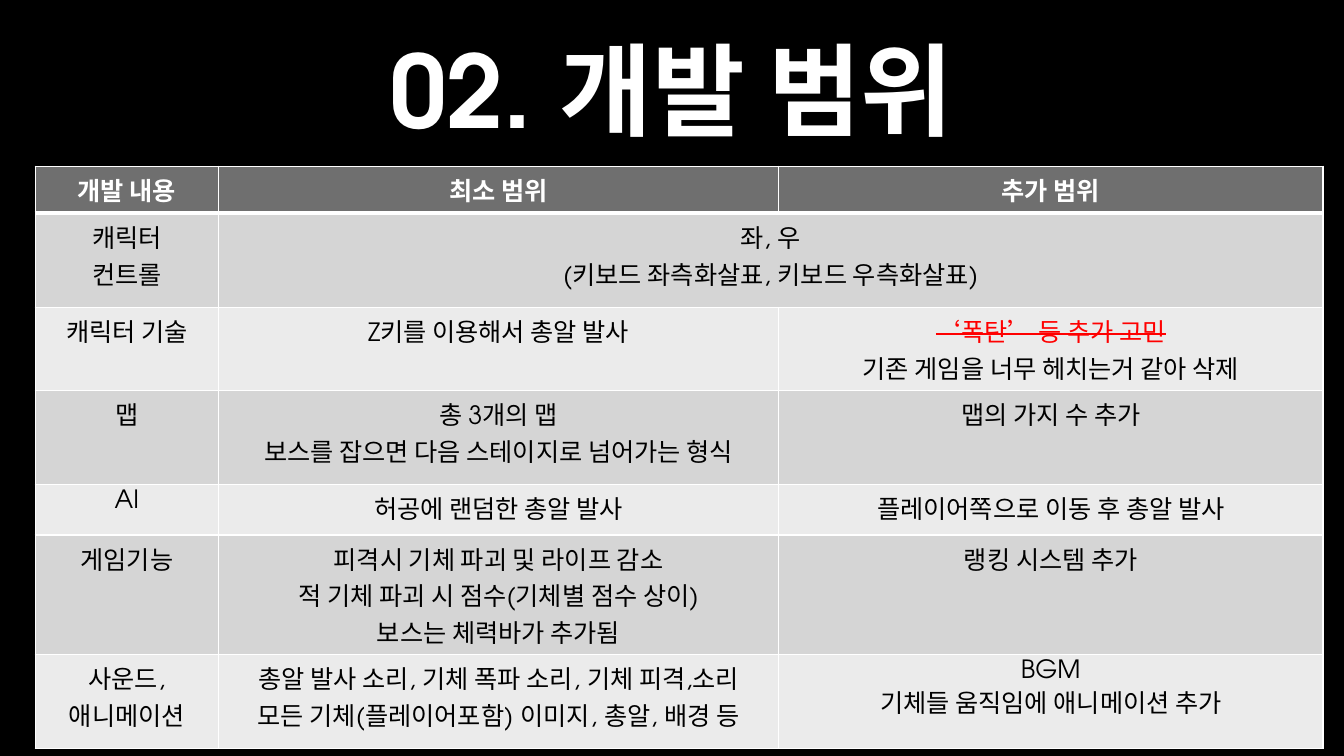
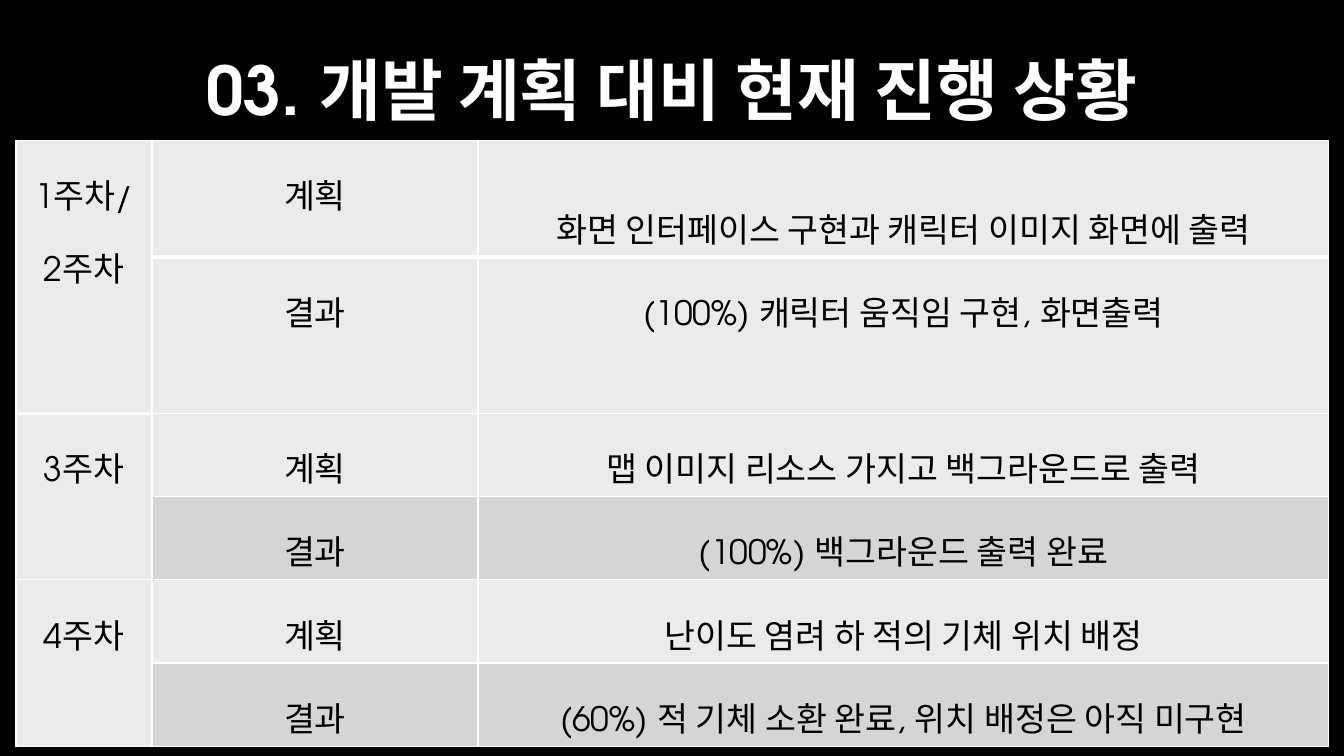
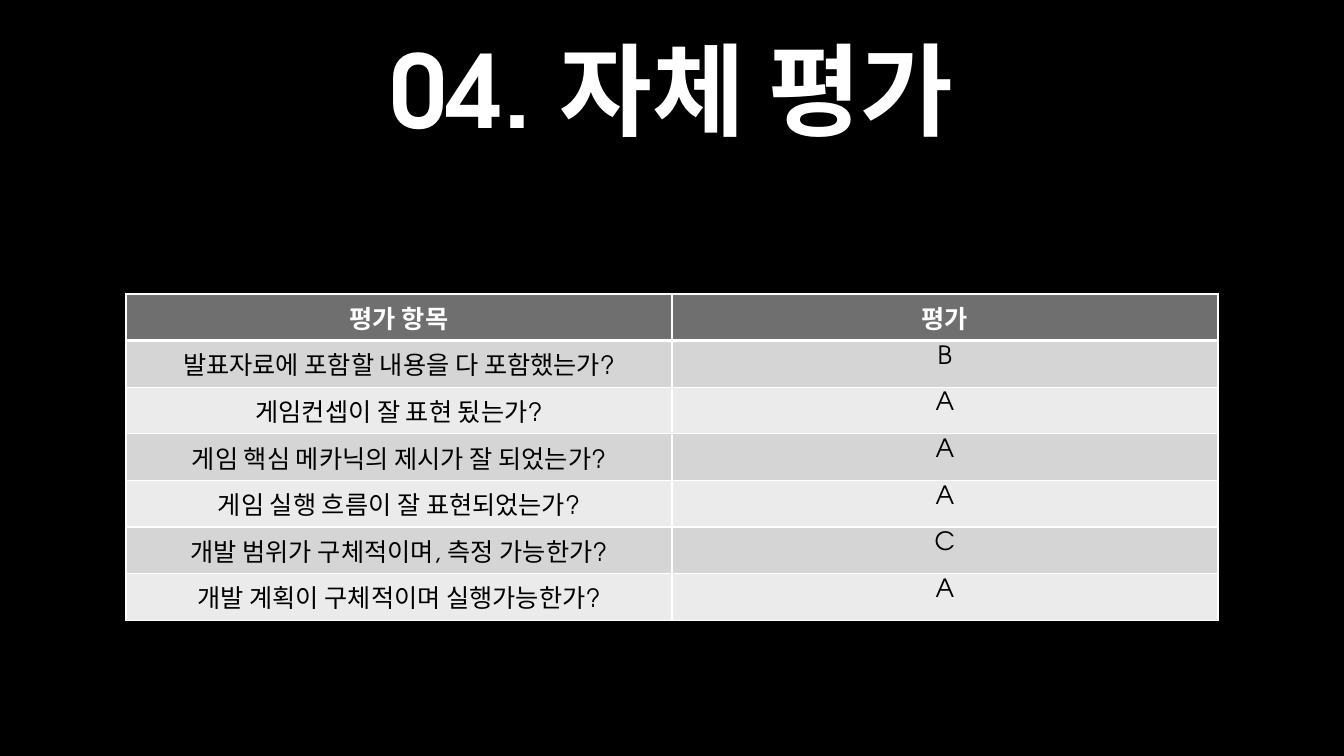
"""Build three slides of a game project report, each a title over a table."""
import pptx
import pptx.util
import pptx.dml.color
import pptx.enum.text
import pptx.oxml.ns
import lxml.etree

HUES = {
    "back": "000000", "ink": "000000", "white": "FFFFFF", "gray": "A6A6A6",
    "head": "6F6F6F", "dark": "D5D5D5", "light": "EBEBEB", "red": "FF0000",
}
FONT = "TeX Gyre Adventor"
COLS, ROWS = 160, 90
WIDE, HIGH = pptx.util.Inches(13.33), pptx.util.Inches(7.5)
MID = pptx.enum.text.PP_ALIGN.CENTER

SCOPE = [
    ["개발 내용", "최소 범위", "추가 범위"],
    ["캐릭터\n컨트롤", "좌, 우\n(키보드 좌측화살표, 키보드 우측화살표)", None],
    ["캐릭터 기술", "Z키를 이용해서 총알 발사",
     "‘폭탄’ 등 추가 고민\n기존 게임을 너무 헤치는거 같아 삭제"],
    ["맵", "총 3개의 맵\n보스를 잡으면 다음 스테이지로 넘어가는 형식", "맵의 가지 수 추가"],
    ["AI", "허공에 랜덤한 총알 발사", "플레이어쪽으로 이동 후 총알 발사"],
    ["게임기능",
     "피격시 기체 파괴 및 라이프 감소\n적 기체 파괴 시 점수(기체별 점수 상이)\n보스는 체력바가 추가됨",
     "랭킹 시스템 추가"],
    ["사운드,\n애니메이션",
     "총알 발사 소리, 기체 폭파 소리, 기체 피격,소리\n모든 기체(플레이어포함) 이미지, 총알, 배경 등",
     "BGM\n기체들 움직임에 애니메이션 추가"],
]
PLAN = [
    ["1주차/\n2주차", "계획", "화면 인터페이스 구현과 캐릭터 이미지 화면에 출력"],
    [None, "결과", "(100%) 캐릭터 움직임 구현, 화면출력"],
    ["3주차", "계획", "맵 이미지 리소스 가지고 백그라운드로 출력"],
    [None, "결과", "(100%) 백그라운드 출력 완료"],
    ["4주차", "계획", "난이도 염려 하 적의 기체 위치 배정"],
    [None, "결과", "(60%) 적 기체 소환 완료, 위치 배정은 아직 미구현"],
]
MARKS = [
    ["평가 항목", "평가"],
    ["발표자료에 포함할 내용을 다 포함했는가?", "B"],
    ["게임컨셉이 잘 표현 됬는가?", "A"],
    ["게임 핵심 메카닉의 제시가 잘 되었는가?", "A"],
    ["게임 실행 흐름이 잘 표현되었는가?", "A"],
    ["개발 범위가 구체적이며, 측정 가능한가?", "C"],
    ["개발 계획이 구체적이며 실행가능한가?", "A"],
]


def across(n):
    return round(WIDE * n / COLS)


def down(n):
    return round(HIGH * n / ROWS)


def hue(name):
    return pptx.dml.color.RGBColor.from_string(HUES[name])


def paint(part, name):
    part.fill.solid()
    part.fill.fore_color.rgb = hue(name)


def style(para, size, bold=False):
    para.alignment = MID
    for run in para.runs:
        run.font.name = FONT
        run.font.size = pptx.util.Pt(size)
        run.font.bold = bold


def ink(para, name):
    for run in para.runs:
        run.font.color.rgb = hue(name)


def strike(para):
    ink(para, "red")
    for run in para.runs:
        run.font._element.set("strike", "sngStrike")


def edge(cell, row):
    props = cell._tc.get_or_add_tcPr()
    thick = {0: "B", 1: "T"}.get(row)
    for spot, side in enumerate("LRTB"):
        line = lxml.etree.Element(pptx.oxml.ns.qn("a:ln" + side))
        line.set("w", str(pptx.util.Pt(3 if side == thick else 1)))
        fill = lxml.etree.SubElement(line, pptx.oxml.ns.qn("a:solidFill"))
        tone = lxml.etree.SubElement(fill, pptx.oxml.ns.qn("a:srgbClr"))
        tone.set("val", HUES["white"])
        props.insert(spot, line)


def setup():
    deck = pptx.Presentation()
    deck.slide_width, deck.slide_height = WIDE, HIGH
    paint(deck.slide_master.background, "back")
    return deck


def page(deck, text, size):
    slide = deck.slides.add_slide(deck.slide_layouts[5])
    title = slide.shapes.title
    title.left, title.top = across(15), down(4.3)
    title.width, title.height = across(130), down(12.5)
    frame = title.text_frame
    frame.text = text
    frame.auto_size = pptx.enum.text.MSO_AUTO_SIZE.NONE
    frame.vertical_anchor = pptx.enum.text.MSO_ANCHOR.MIDDLE
    para = frame.paragraphs[0]
    style(para, size, True)
    fill = para.runs[0].font.fill
    fill.gradient()
    fill.gradient_angle = 267
    for stop, name in zip(fill.gradient_stops, ("white", "gray")):
        stop.color.rgb = hue(name)
    return slide


def grid(slide, spot, wide, high, data, tones, size=18, lead=None):
    left, top, tall = spot
    frame = slide.shapes.add_table(
        len(high), len(wide), across(left), down(top),
        across(sum(wide)), down(tall))
    table = frame.table
    table.first_row = table.horz_banding = False
    for col, n in zip(table.columns, wide):
        col.width = across(n)
    for row, n in zip(table.rows, high):
        row.height = down(n)
    frame.height = down(tall)
    for r, line in enumerate(data):
        for c, text in enumerate(line):
            cell = table.cell(r, c)
            tone = tones[r]
            paint(cell, tone)
            edge(cell, r)
            if text is None:
                continue
            cell.text_frame.text = text
            for para in cell.text_frame.paragraphs:
                style(para, size, tone == "head")
                ink(para, "white" if tone == "head" else "ink")
                para.line_spacing = lead
    return table


def main():
    deck = setup()
    bands = ["head"] + ["dark", "light"] * 3

    slide = page(deck, "02. 개발 범위", 72)
    table = grid(slide, (4.2, 19.8, 67.4), [21.8, 66.7, 64.8],
                 [5.6, 11.2, 4.7, 11.2, 6, 14, 11.2], SCOPE, bands)
    table.cell(1, 1).merge(table.cell(1, 2))
    strike(table.cell(2, 2).text_frame.paragraphs[0])

    slide = page(deck, "03. 개발 계획 대비 현재 진행 상황", 48)
    table = grid(slide, (1.9, 16.7, 59.3), [16.2, 38.8, 101.3],
                 [12.5, 12.5, 5.4, 5.4, 6.2, 6.2], PLAN,
                 ["light"] * 3 + ["dark", "light", "dark"], 24, 1.5)
    for r in range(0, len(PLAN), 2):
        paint(table.cell(r + 1, 0), "light")
        table.cell(r, 0).merge(table.cell(r + 1, 0))
    table.cell(0, 2).margin_top = down(4.6)

    slide = page(deck, "04. 자체 평가", 72)
    grid(slide, (15, 35, 34.1), [65, 65], [4.9] * len(MARKS), MARKS, bands)

    deck.save("out.pptx")


if __name__ == "__main__":
    main()
